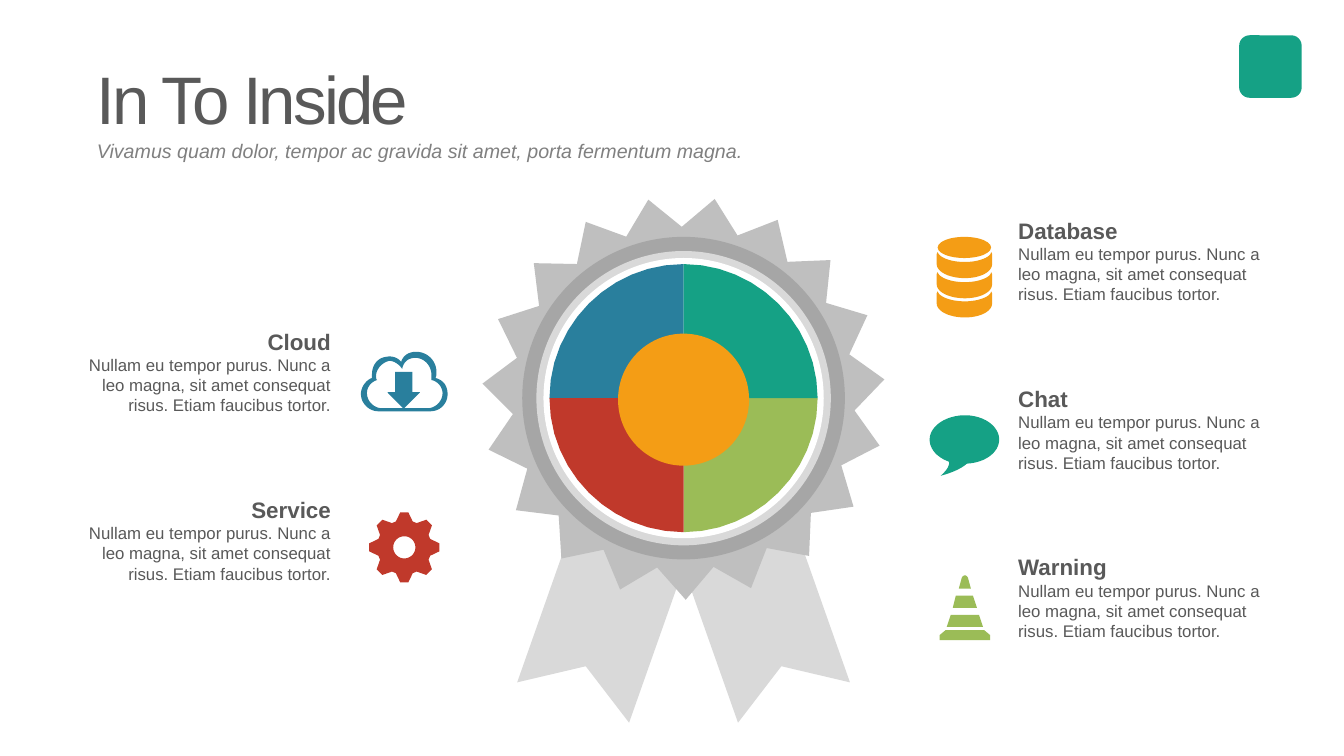
from dataclasses import dataclass
from math import cos, radians, sin

from pptx import Presentation
from pptx.dml.color import RGBColor
from pptx.enum.shapes import MSO_SHAPE as Preset
from pptx.enum.text import MSO_ANCHOR as Anchor, MSO_AUTO_SIZE as AutoSize, PP_ALIGN as Align
from pptx.util import Pt

PX = 9144  # EMU per px, 100 px to the inch
CURVE_STEPS = 12


@dataclass(frozen=True)
class Theme:
    font: str = "Arial"
    ink: str = "595959"
    muted: str = "808080"
    green: str = "15A185"
    blue: str = "297F9D"
    red: str = "C0392B"
    lime: str = "9BBC57"
    orange: str = "F49D15"
    white: str = "FFFFFF"
    ribbon: str = "D9D9D9"
    star: str = "BFBFBF"
    rim: str = "A6A6A6"
    title_size: int = 48
    subtitle_size: int = 14
    heading_size: int = 16
    body_size: int = 12


THEME = Theme()
BADGE_X, BADGE_Y = 678, 395
BLURB = ("Nullam eu tempor purus. Nunc a leo magna, sit amet consequat risus. "
         "Etiam faucibus tortor.")

# Icon contours: a pair is a corner, six numbers are a Bézier curve
CLOUD = [
    [(432, 375), (433, 373, 433, 371, 433, 369), (433, 358, 424, 349, 413, 349),
     (400, 349, 398, 359, 398, 359), (398, 359, 393, 352, 383, 354),
     (374, 355, 369, 363, 369, 371), (369, 375), (363, 377, 358, 384, 358, 391),
     (358, 400, 366, 408, 375, 408), (427, 408), (437, 408, 444, 400, 444, 391),
     (444, 383, 440, 377, 432, 375)],
    [(424, 405), (401, 405), (415, 391), (417, 389, 417, 389, 415, 389), (409, 389),
     (409, 369), (392, 369), (392, 389), (386, 389), (384, 389, 384, 389, 386, 391),
     (400, 405), (379, 405), (371, 405, 364, 398, 364, 390),
     (364, 384, 368, 379, 374, 377), (373, 376, 373, 374, 373, 373),
     (373, 367, 378, 360, 386, 358), (394, 358, 399, 366, 399, 366),
     (399, 366, 400, 355, 412, 355), (421, 355, 428, 363, 428, 372),
     (428, 374, 428, 376, 428, 377), (434, 378, 439, 384, 439, 390),
     (439, 398, 432, 405, 424, 405)],
]
BUBBLE = [
    [(991, 436), (991, 423, 976, 412, 957, 412), (938, 412, 922, 423, 922, 436),
     (922, 446, 930, 454, 941, 458), (942, 460, 941, 465, 933, 472),
     (933, 472, 950, 468, 959, 460), (977, 459, 991, 449, 991, 436)],
]
CONE = [
    [(982, 635), (932, 635), (932, 630), (938, 625), (976, 625), (982, 630)],
    [(939, 622), (943, 610), (971, 610), (975, 622)],
    [(945, 603), (948, 591), (965, 591), (969, 603)],
    [(954, 573), (954, 573, 957, 568, 960, 573), (963, 584), (951, 584)],
]


def polar(cx, cy, radius, degrees):
    return cx + radius * cos(radians(degrees)), cy + radius * sin(radians(degrees))


def flatten(contour):
    """Turn corners and Bézier curves into a list of points."""
    points = [contour[0]]
    for step in contour[1:]:
        if len(step) == 2:
            points.append(step)
            continue
        x0, y0 = points[-1]
        x1, y1, x2, y2, x3, y3 = step
        for i in range(1, CURVE_STEPS + 1):
            t = i / CURVE_STEPS
            a, b, c, d = (1 - t) ** 3, 3 * t * (1 - t) ** 2, 3 * t * t * (1 - t), t ** 3
            points.append((a * x0 + b * x1 + c * x2 + d * x3,
                           a * y0 + b * y1 + c * y2 + d * y3))
    return points


def paint(shape, colour):
    shape.shadow.inherit = False
    shape.fill.solid()
    shape.fill.fore_color.rgb = RGBColor.from_string(colour)
    shape.line.fill.background()


def add_outline(shapes, contours, colour):
    builder = None
    for contour in contours:
        start, *rest = [(x * PX, y * PX) for x, y in flatten(contour)]
        if builder is None:
            builder = shapes.build_freeform(*start, scale=1.0)
        else:
            builder.move_to(*start)
        builder.add_line_segments(rest, close=True)
    paint(builder.convert_to_shape(), colour)


def add_preset(shapes, preset, left, top, width, height, colour):
    paint(shapes.add_shape(preset, left * PX, top * PX, width * PX, height * PX), colour)


def add_disc(shapes, radius, colour):
    add_preset(shapes, Preset.OVAL, BADGE_X - radius, BADGE_Y - radius,
               2 * radius, 2 * radius, colour)


def write(paragraph, text, colour, align=Align.LEFT, spacing=1.0, **font_format):
    paragraph.alignment = align
    paragraph.line_spacing = spacing
    paragraph.space_before = Pt(0)
    run = paragraph.add_run()
    run.text = text
    for name, value in {"name": THEME.font, **font_format}.items():
        setattr(run.font, name, value)
    run.font.color.rgb = RGBColor.from_string(colour)
    return run


def place_heading(holder, left, top, width, height, anchor):
    box = {"left": left, "top": top, "width": width, "height": height}
    for name, value in box.items():
        setattr(holder, name, value * PX)
    frame = holder.text_frame
    frame_format = {"margin_left": 7 * PX, "margin_right": 7 * PX,
                    "margin_top": 3 * PX, "margin_bottom": 3 * PX,
                    "vertical_anchor": anchor, "word_wrap": True,
                    "auto_size": AutoSize.SHAPE_TO_FIT_TEXT}
    for name, value in frame_format.items():
        setattr(frame, name, value)
    return frame.paragraphs[0]


def add_feature(shapes, heading, left, top, align):
    frame = shapes.add_textbox(left * PX, top * PX, 261 * PX, 111 * PX).text_frame
    frame.word_wrap = True
    frame.auto_size = AutoSize.SHAPE_TO_FIT_TEXT
    write(frame.paragraphs[0], heading, THEME.ink, align, 1.5,
          size=Pt(THEME.heading_size), bold=True)
    write(frame.add_paragraph(), BLURB, THEME.ink, align, size=Pt(THEME.body_size))


def add_gear(shapes):
    cx, cy = 401, 543
    profile = ((27, -18), (35, -6.5), (35, 6.5), (27, 18))
    teeth = [polar(cx, cy, radius, 45 * tooth + turn)
             for tooth in range(8) for radius, turn in profile]
    hole = [polar(cx, cy, 11, turn) for turn in range(0, 360, 10)]
    add_outline(shapes, [teeth, hole], THEME.red)


def add_badge(shapes):
    # Ribbon tails, mirrored about the badge centre
    tail = [(513, 677), (586, 470), (697, 510), (624, 717), (581, 661)]
    add_outline(shapes, [tail], THEME.ribbon)
    add_outline(shapes, [[(2 * BADGE_X - x, y) for x, y in tail]], THEME.ribbon)
    # Star with 19 points, then the rings
    star = [polar(BADGE_X, BADGE_Y, (200, 170)[i % 2], 89.4 + i * 180 / 19)
            for i in range(38)]
    add_outline(shapes, [star], THEME.star)
    for radius, colour in ((160, THEME.rim), (146, THEME.ribbon), (139, THEME.white)):
        add_disc(shapes, radius, colour)
    # Quarters and core
    for dx, dy, colour in ((1, 1, THEME.lime), (-1, -1, THEME.blue),
                           (-1, 1, THEME.red), (1, -1, THEME.green)):
        far_x, far_y = BADGE_X + 133 * dx, BADGE_Y + 133 * dy
        quarter = [(BADGE_X, BADGE_Y), (far_x, BADGE_Y),
                   (far_x, BADGE_Y + 73 * dy, BADGE_X + 73 * dx, far_y, BADGE_X, far_y)]
        add_outline(shapes, [quarter], colour)
    add_preset(shapes, Preset.OVAL, 613, 331, 130, 131, THEME.orange)


def add_database(shapes):
    for y in (250, 270, 289):
        band = [(983, y), (983, y + 5, 971, y + 10, 957, y + 10),
                (942, y + 10, 931, y + 5, 930, y), (929, y + 2), (929, y + 12),
                (929, y + 20, 942, y + 26, 957, y + 26),
                (972, y + 26, 984, y + 20, 984, y + 12), (984, y + 2)]
        add_outline(shapes, [band], THEME.orange)
    add_preset(shapes, Preset.OVAL, 930, 235, 53, 21, THEME.orange)


def main():
    deck = Presentation()
    deck.slide_width, deck.slide_height = 1333 * PX, 750 * PX
    slide = deck.slides.add_slide(deck.slide_layouts[0])
    shapes = slide.shapes

    # Title, subtitle and corner tile
    title = place_heading(shapes.title, 89, 54, 400, 88, Anchor.TOP)
    title_run = write(title, "In To Inside", THEME.ink, size=Pt(THEME.title_size))
    title_run.font._element.set("spc", "-200")
    subtitle = place_heading(slide.placeholders[1], 89, 134, 700, 30, Anchor.MIDDLE)
    write(subtitle, "Vivamus quam dolor, tempor ac gravida sit amet, porta fermentum magna.",
          THEME.muted, size=Pt(THEME.subtitle_size), italic=True)
    add_preset(shapes, Preset.ROUNDED_RECTANGLE, 1229, 35, 62, 62, THEME.green)

    # Icons and badge
    add_gear(shapes)
    for contours, colour in ((CLOUD, THEME.blue), (BUBBLE, THEME.green), (CONE, THEME.lime)):
        add_outline(shapes, contours, colour)
    add_badge(shapes.add_group_shape().shapes)
    add_database(shapes.add_group_shape().shapes)

    # Feature texts on both sides of the badge
    for left, top, align, headings in (
            (77, 307, Align.RIGHT, ("Cloud", "Service")),
            (1000, 197, Align.LEFT, ("Database", "Chat", "Warning"))):
        for row, heading in enumerate(headings):
            add_feature(shapes, heading, left, top + 167 * row, align)

    deck.save("out.pptx")


if __name__ == "__main__":
    main()
